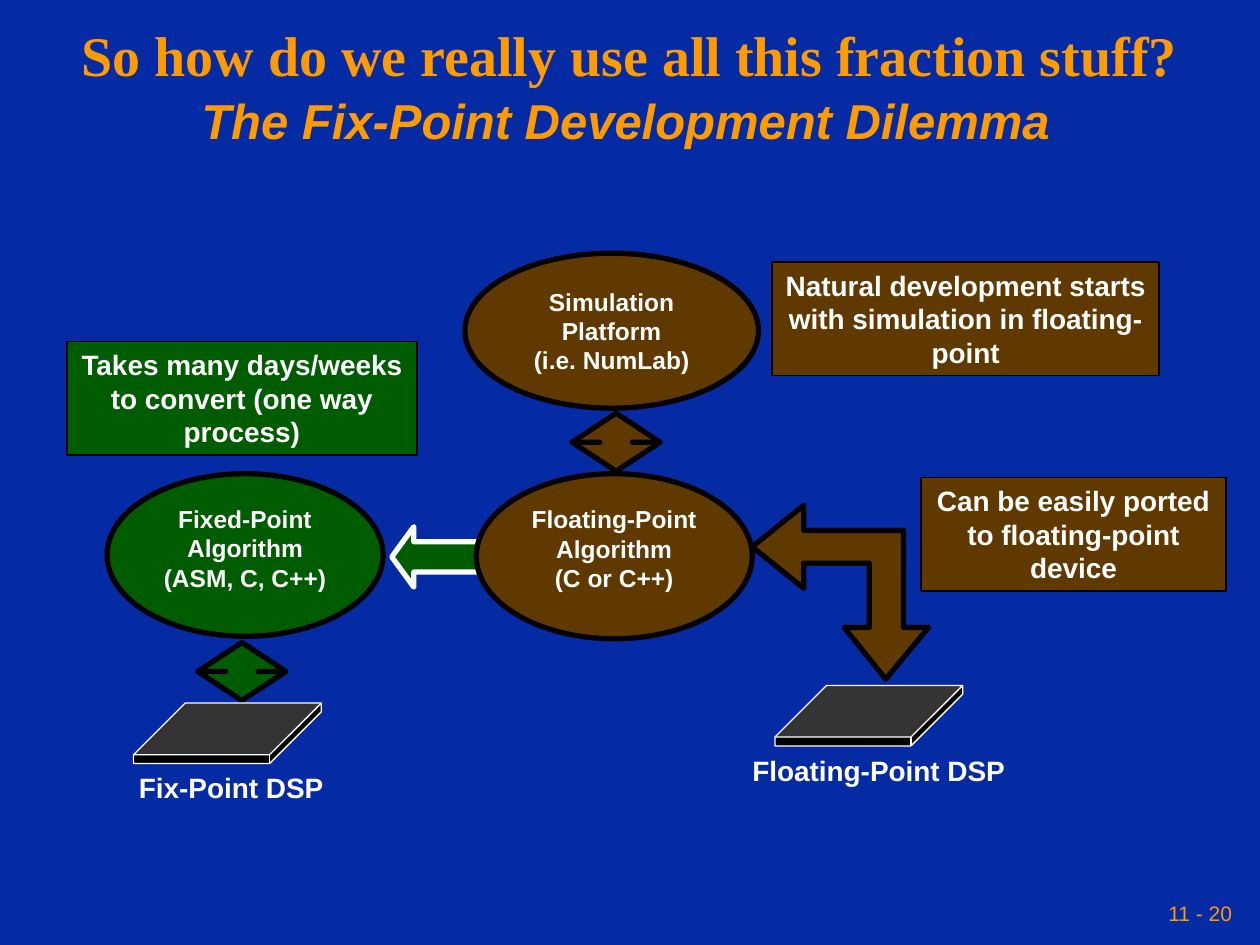
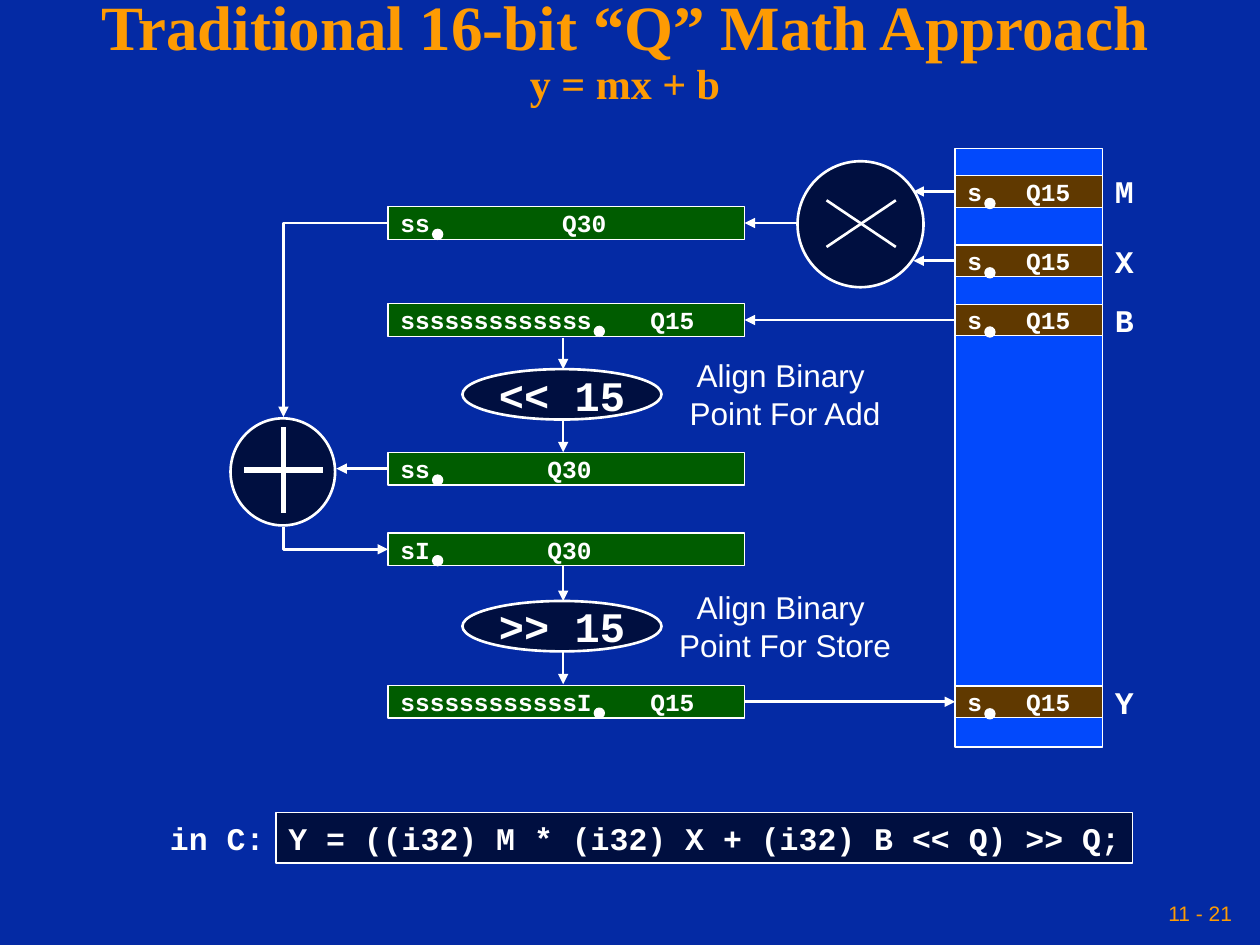
from dataclasses import dataclass

from lxml import etree
from pptx import Presentation
from pptx.dml.color import RGBColor
from pptx.enum import shapes, text
from pptx.oxml.ns import qn
from pptx.util import Inches, Pt

SHAPE = shapes.MSO_SHAPE
ALIGN = text.PP_ALIGN
ANCHOR = text.MSO_ANCHOR


@dataclass(frozen=True)
class Theme:
    background: str = "042AA4"
    accent: str = "FE9B03"
    white: str = "FFFFFF"
    black: str = "000000"
    fixed: str = "005C00"
    floating: str = "603900"
    memory: str = "0249FC"
    operator: str = "000F40"
    sans: str = "Arial"
    serif: str = "Times New Roman"
    mono: str = "Courier New"
    title: int = 32
    title_large: int = 36
    subtitle: int = 28
    equation: int = 24
    code: int = 18
    note: int = 16
    node: int = 14
    footer: int = 12
    hairline: float = 0.75
    wire: float = 1.5
    heavy: float = 3


T = Theme()
PAD = 0.1
CHAR = 0.6 * T.node / 72  # width of one monospaced character


def rgb(value):
    return RGBColor.from_string(value)


def add_run(p, words, size, font=T.sans, color=T.white, bold=True, italic=False):
    r = p.add_run()
    r.text = words
    f = r.font
    f.name, f.size, f.bold, f.italic = font, Pt(size), bold, italic
    f.color.rgb = rgb(color)


def frame(sp, anchor=ANCHOR.TOP, wrap=True, side=PAD):
    tf = sp.text_frame
    tf.auto_size = text.MSO_AUTO_SIZE.NONE
    tf.word_wrap = wrap
    tf.vertical_anchor = anchor
    tf.margin_left = tf.margin_right = Inches(side)
    tf.margin_top = tf.margin_bottom = Inches(0.05)
    return tf


def write(sp, lines, size, align=ALIGN.CENTER, anchor=ANCHOR.TOP, wrap=True,
          side=PAD, **style):
    tf = frame(sp, anchor, wrap, side)
    for i, line in enumerate(lines):
        p = tf.add_paragraph() if i else tf.paragraphs[0]
        p.alignment = align
        add_run(p, line, size, **style)
    return tf


def add_shape(s, kind, box, fill, line, width, adjust=()):
    sp = s.shapes.add_shape(kind, *map(Inches, box))
    for i, value in enumerate(adjust):
        sp.adjustments[i] = value
    return paint(sp, fill, line, width)


def paint(sp, fill, line, width):
    sp.shadow.inherit = False
    sp.fill.solid()
    sp.fill.fore_color.rgb = rgb(fill)
    sp.line.color.rgb = rgb(line)
    sp.line.width = Pt(width)
    return sp


def add_label(s, box, lines, size, **style):
    return write(s.shapes.add_textbox(*map(Inches, box)), lines, size, **style)


def add_wire(s, start, end, arrow="tailEnd", width=T.wire, bent=False):
    """Line from start to end; a bent one runs horizontally first."""
    kind = shapes.MSO_CONNECTOR.ELBOW if bent else shapes.MSO_CONNECTOR.STRAIGHT
    c = s.shapes.add_connector(kind, *map(Inches, (*start, *end)))
    c.line.color.rgb = rgb(T.white)
    c.line.width = Pt(width)
    sp_pr = c.element.spPr
    if bent:
        sp_pr.find(qn("a:prstGeom")).set("prst", "bentConnector2")
    if arrow:
        etree.SubElement(c.line._get_or_add_ln(), qn("a:" + arrow), type="triangle")
    etree.SubElement(sp_pr, qn("a:effectLst"))
    return c


def add_slide(prs, title_box, title_lines, number):
    """Title-only slide; title_lines holds (words, size) pairs."""
    s = prs.slides.add_slide(prs.slide_layouts[5])
    title = s.shapes.title
    title.left, title.top, title.width, title.height = map(Inches, title_box)
    p = frame(title, ANCHOR.MIDDLE, side=0.05).paragraphs[0]
    p.alignment, p.line_spacing = ALIGN.CENTER, 0.9
    for i, (words, size) in enumerate(title_lines):
        if i:
            p.add_line_break()
        add_run(p, words, size, T.serif, T.accent)
    add_label(s, (6.83, 7.08, 3, 0.33), [f"11 - {number}"], T.footer,
              align=ALIGN.RIGHT, anchor=ANCHOR.MIDDLE, wrap=False, side=0.05,
              color=T.accent, bold=False)
    return s


# Development dilemma

def stage(s, box, fill, lines, anchor=ANCHOR.TOP):
    sp = add_shape(s, SHAPE.OVAL, box, fill, T.black, T.heavy)
    write(sp, lines, T.node, anchor=anchor)


def remark(s, x, y, width, fill, words):
    sp = add_shape(s, SHAPE.RECTANGLE, (x, y, width, 0.9), fill, T.black, 1)
    write(sp, [words], T.note)


def two_way_arrow(s, x, y, fill):
    add_shape(s, SHAPE.UP_DOWN_ARROW, (x, y, 0.7, 0.46), fill, T.black, T.heavy,
              (0.5, 0.367))


def chip(s, x, y, name, name_dx):
    add_shape(s, SHAPE.CUBE, (x, y, 1.49, 0.48), T.black, T.white, T.hairline, (0.854,))
    add_label(s, (x + name_dx, y + 0.49, 2.23, 0.37), [name], T.note)


def corner_arrow(s, x, y, fill):
    """Two-headed arrow pointing left and down."""
    outline = [(1.06, 1.38), (0.73, 0.97), (0.93, 0.97), (0.93, 0.46),
               (0.41, 0.46), (0.41, 0.66), (0, 0.33), (0.41, 0), (0.41, 0.2),
               (1.2, 0.2), (1.2, 0.97), (1.4, 0.97)]
    points = [(Inches(x + dx), Inches(y + dy)) for dx, dy in outline]
    builder = s.shapes.build_freeform(*points[0])
    builder.add_line_segments(points[1:], close=True)
    paint(builder.convert_to_shape(), fill, T.black, T.heavy)


def dilemma_slide(prs):
    s = add_slide(prs, (0, 0.13, 10, 0.67),
                  [("So how do we really use all this fraction stuff?", T.title)], 20)
    tf = add_label(s, (1.5, 0.76, 6.93, 0.48), ["The Fix-Point Development Dilemma"],
                   T.subtitle, align=ALIGN.LEFT, wrap=False, color=T.accent, italic=True)
    tf.paragraphs[0].line_spacing = 0.8

    add_shape(s, SHAPE.LEFT_ARROW, (3.11, 4.18, 0.7, 0.48), T.fixed, T.white,
              T.heavy, (0.5, 0.365))
    remark(s, 0.53, 2.71, 2.78, T.fixed,
           "Takes many days/weeks to convert (one way process)")
    two_way_arrow(s, 1.57, 5.1, T.fixed)
    stage(s, (0.85, 3.76, 2.19, 1.29), T.fixed,
          ["Fixed-Point Algorithm", "(ASM, C, C++)"])
    chip(s, 1.06, 5.58, "Fix-Point DSP", -0.34)

    corner_arrow(s, 5.97, 4.01, T.floating)
    remark(s, 7.31, 3.79, 2.42, T.floating,
           "Can be easily ported to floating-point device")
    chip(s, 6.15, 5.44, "Floating-Point DSP", -0.29)
    stage(s, (3.78, 3.76, 2.19, 1.31), T.floating,
          ["Floating-Point", "Algorithm", "(C or C++)"])
    two_way_arrow(s, 4.54, 3.28, T.floating)
    remark(s, 6.13, 2.08, 3.07, T.floating,
           "Natural development starts with simulation in floating-point")
    stage(s, (3.69, 2.01, 2.33, 1.23), T.floating,
          ["Simulation", "Platform", "(i.e. NumLab)"], ANCHOR.MIDDLE)


# Q math data flow

def q_word(s, x, mid, width, height, fill, bits, q_format, column):
    """Number word centred on mid: leading bits, binary point, Q format."""
    y = mid - height / 2
    sp = add_shape(s, SHAPE.RECTANGLE, (x, y, width, height), fill, T.white, T.hairline)
    tf = write(sp, [f"{bits}\t{q_format}"], T.node, align=ALIGN.LEFT,
               anchor=ANCHOR.MIDDLE, font=T.mono)
    tabs = etree.SubElement(tf.paragraphs[0]._p.get_or_add_pPr(), qn("a:tabLst"))
    etree.SubElement(tabs, qn("a:tab"), pos=str(Inches(column * CHAR)), algn="l")
    add_shape(s, SHAPE.OVAL, (x + PAD + len(bits) * CHAR + 0.02, y + 0.18, 0.08, 0.08),
              T.white, T.white, T.hairline)
    return sp


def register(s, mid, bits, q_format, column):
    return q_word(s, 3.08, mid, 2.83, 0.26, T.fixed, bits, q_format, column)


def memory(s, x, y, rows):
    """Memory column; returns its slots by variable name."""
    add_shape(s, SHAPE.RECTANGLE, (x, y, 1.17, 4.75), T.memory, T.white, T.hairline)
    slots = {}
    for name, mid in rows.items():
        slots[name] = q_word(s, x, mid, 1.17, 0.25, T.floating, "s", "Q15", 4)
        add_label(s, (x + 1.17, mid - 0.2, 0.35, 0.4), [name], T.code,
                  align=ALIGN.LEFT, wrap=False, font=T.mono)
    return slots


def multiplier(s, x, y):
    add_shape(s, SHAPE.OVAL, (x, y, 1, 1), T.operator, T.white, T.wire)
    for y1, y2 in ((0.31, 0.68), (0.68, 0.31)):
        add_wire(s, (x + 0.23, y + y1), (x + 0.78, y + y2), None)


def adder(s, x, y):
    add_shape(s, SHAPE.OVAL, (x, y, 0.83, 0.85), T.operator, T.white, T.wire)
    add_wire(s, (x + 0.42, y + 0.07), (x + 0.42, y + 0.75), None, T.heavy)
    add_wire(s, (x + 0.11, y + 0.41), (x + 0.73, y + 0.41), None, T.heavy)


def shifter(s, y, source_y, target_y, operation, purpose):
    """Shift between two registers, with a remark beside it."""
    sp = add_shape(s, SHAPE.OVAL, (3.67, y, 1.58, 0.4), T.operator, T.white, T.wire)
    write(sp, [operation], T.equation, anchor=ANCHOR.MIDDLE, wrap=False, font=T.mono)
    add_wire(s, (4.47, source_y), (4.47, y))
    add_wire(s, (4.47, y + 0.4), (4.47, target_y))
    add_label(s, (5.29, y - 0.15, 1.88, 0.7), ["Align Binary ", purpose], T.code,
              wrap=False, bold=False)


def code_line(s, x, y):
    add_label(s, (x, y, 0.95, 0.4), ["in C:"], T.code, align=ALIGN.LEFT,
              wrap=False, font=T.mono)
    sp = add_shape(s, SHAPE.RECTANGLE, (x + 0.94, y, 6.8, 0.4), T.operator,
                   T.white, T.hairline)
    write(sp, ["Y = ((i32) M * (i32) X + (i32) B << Q) >> Q;"], T.code,
          align=ALIGN.LEFT, wrap=False, font=T.mono)


def q_math_slide(prs):
    s = add_slide(prs, (0, 0, 9.92, 0.83),
                  [("Traditional 16-bit “Q” Math Approach", T.title_large),
                   ("y = mx + b", T.equation)], 21)
    rows = {"M": 1.52, "X": 2.07, "B": 2.54, "Y": 5.57}
    slots = memory(s, 7.58, 1.18, rows)
    product = register(s, 1.77, "ss", "Q30", 11)
    addend = register(s, 2.54, "s" * 13, "Q15", 17)
    aligned = register(s, 3.72, "ss", "Q30", 10)
    register(s, 4.36, "sI", "Q30", 10)
    result = register(s, 5.57, "s" * 12 + "I", "Q15", 17)

    multiplier(s, 6.33, 1.28)
    adder(s, 1.83, 3.32)
    shifter(s, 2.93, 2.68, 3.59, "<< 15", "Point For Add")
    shifter(s, 4.77, 4.49, 5.43, ">> 15", "Point For Store")

    for name in "MX":
        c = add_wire(s, (7.58, rows[name]), (7.25, rows[name]))
        c.begin_connect(slots[name], 1)
    add_wire(s, (6.33, 1.77), (5.91, 1.77)).end_connect(product, 3)
    c = add_wire(s, (7.58, 2.54), (5.91, 2.54))
    c.begin_connect(slots["B"], 1)
    c.end_connect(addend, 3)
    add_wire(s, (3.08, 3.72), (2.67, 3.72)).begin_connect(aligned, 1)
    c = add_wire(s, (5.91, 5.57), (7.58, 5.57))
    c.begin_connect(result, 3)
    c.end_connect(slots["Y"], 1)
    add_wire(s, (3.08, 1.77), (2.25, 3.31), bent=True)
    add_wire(s, (3.08, 4.36), (2.25, 4.18), "headEnd", bent=True)
    code_line(s, 1.25, 6.45)


def main():
    prs = Presentation()
    prs.slide_width, prs.slide_height = Inches(10), Inches(7.5)
    fill = prs.slide_master.background.fill
    fill.solid()
    fill.fore_color.rgb = rgb(T.background)
    dilemma_slide(prs)
    q_math_slide(prs)
    prs.save("out.pptx")


if __name__ == "__main__":
    main()
